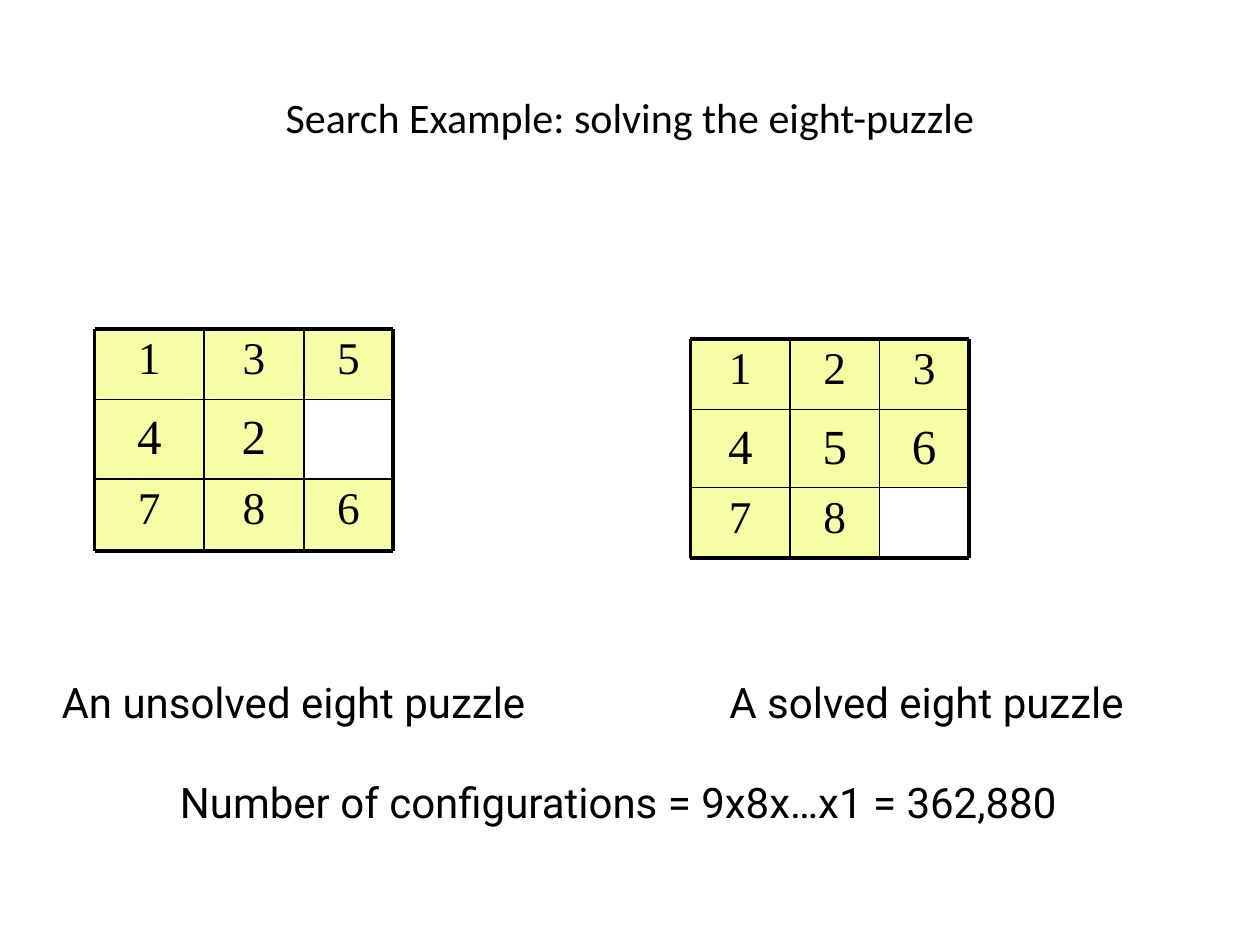
"""Build a slide that shows an unsolved and a solved eight-puzzle."""
from lxml.etree import SubElement
from pptx import Presentation
from pptx.dml.color import RGBColor as Rgb
from pptx.enum.shapes import MSO_CONNECTOR as Link, MSO_SHAPE as Form
from pptx.enum.text import MSO_ANCHOR as Anchor, MSO_AUTO_SIZE as Fit, PP_ALIGN as Align
from pptx.oxml.ns import qn
from pptx.util import Inches, Pt

theme = {
    "ink": Rgb.from_string("000000"),
    "tile": Rgb.from_string("F7FDA5"),
    "title": {"name": "Calibri", "size": Pt(24)},
    "label": {"name": "Roboto", "size": Pt(24)},
    "outer": {"name": "Times New Roman", "size": Pt(25.9)},
    "inner": {"name": "Times New Roman", "size": Pt(28)},
    "edge": Pt(2.25),
    "rule": Pt(1),
}

deck = Presentation()
deck.slide_width, deck.slide_height = Inches(10), Inches(7.5)
col, row = deck.slide_width / 100, deck.slide_height / 100
slide = deck.slides.add_slide(deck.slide_layouts[6])


def place(left, top, right, low):
    return [round(n) for n in (left * col, top * row, (right - left) * col, (low - top) * row)]


def write(frame, text, face, form, align):
    for key, val in form.items():
        setattr(frame, key, val)
    para = frame.paragraphs[0]
    para.text, para.alignment = text, align
    for key, val in theme[face].items():
        setattr(para.font, key, val)
    para.font.color.rgb = theme["ink"]
    return para


head = slide.shapes.add_textbox(*place(5, 4, 95, 20.67))
form = {"word_wrap": True, "vertical_anchor": Anchor.MIDDLE}
write(head.text_frame, "Search Example: solving the eight-puzzle", "title", form, Align.CENTER)

# Each board: column edges, row edges, tiles by row with a dot for the gap
boards = [
    ((7.5, 16.2, 24.1, 31.2), (34.8, 42.27, 50.67, 58.27), ("135", "42.", "786")),
    ((54.8, 62.7, 69.8, 76.9), (35.87, 43.33, 51.6, 59.07), ("123", "456", "78.")),
]
form = {"word_wrap": True, "vertical_anchor": Anchor.TOP}
for xs, ys, tiles in boards:
    board = slide.shapes.add_group_shape().shapes
    for r, line in enumerate(tiles):
        for c, digit in enumerate(line):
            if digit == ".":
                continue
            tile = board.add_shape(Form.RECTANGLE, *place(xs[c], ys[r], xs[c + 1], ys[r + 1]))
            tile.shadow.inherit = False
            tile.fill.solid()
            tile.fill.fore_color.rgb = theme["tile"]
            tile.line.fill.background()
            face = "inner" if r == 1 else "outer"
            para = write(tile.text_frame, digit, face, form, Align.CENTER)
            para.line_spacing = 1.0 if r == 1 else 0.9
    rules = [(xs[0], y, xs[-1], y) for y in ys] + [(x, ys[0], x, ys[-1]) for x in xs]
    for n, (left, top, right, low) in enumerate(rules):
        ends = [round(v) for v in (left * col, top * row, right * col, low * row)]
        rule = board.add_connector(Link.STRAIGHT, *ends)
        rule.line.color.rgb = theme["ink"]
        rule.line.width = theme["edge"] if n % 4 in (0, 3) else theme["rule"]
        SubElement(rule._element.spPr, qn("a:effectLst"))

labels = [
    (3.9, 70.93, 44.9, "An unsolved eight puzzle"),
    (56.9, 70.93, 91.7, "A solved eight puzzle"),
    (13.3, 81.47, 89.2, "Number of configurations = 9x8x…x1 = 362,880"),
]
form = {"word_wrap": False, "auto_size": Fit.SHAPE_TO_FIT_TEXT}
for left, top, right, text in labels:
    label = slide.shapes.add_textbox(*place(left, top, right, top + 6.67))
    write(label.text_frame, text, "label", form, Align.LEFT)

deck.save("out.pptx")
